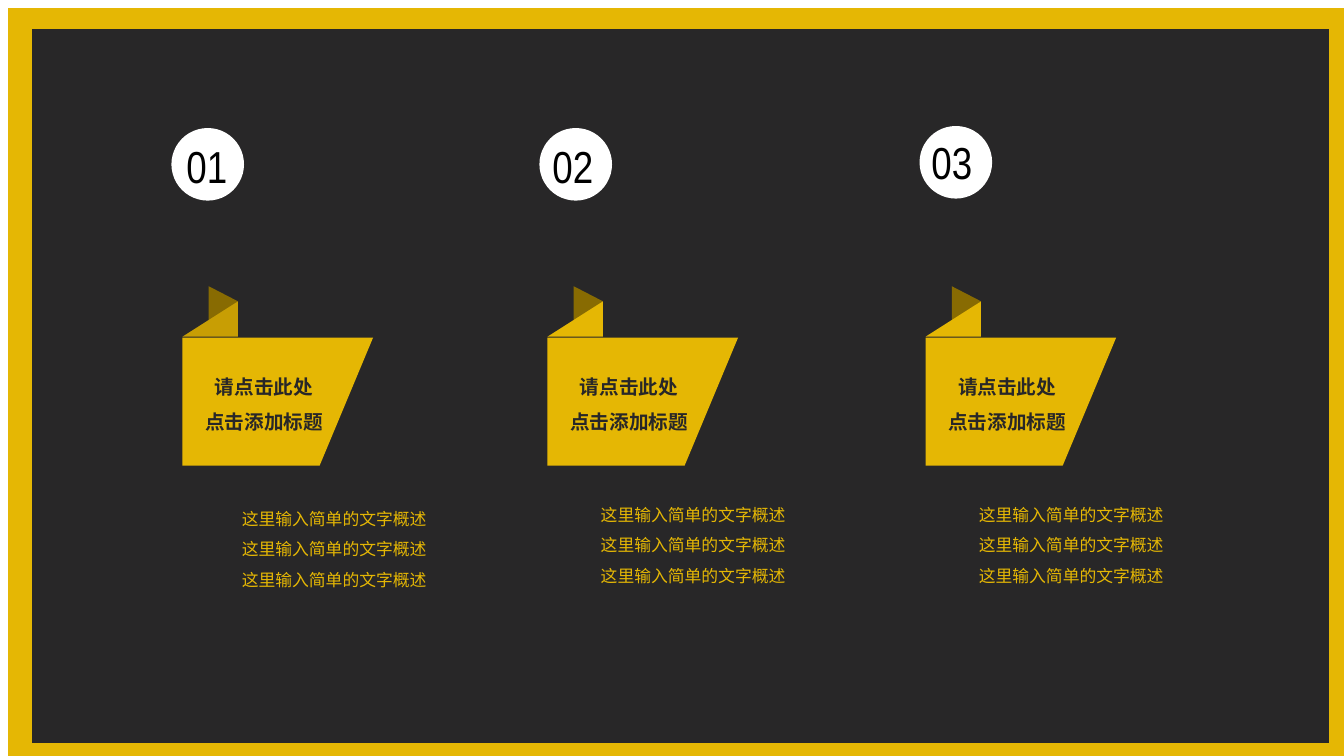
from lxml.etree import SubElement
from pptx import Presentation
from pptx.dml.color import RGBColor
from pptx.enum.shapes import MSO_SHAPE
from pptx.enum.text import MSO_AUTO_SIZE, PP_ALIGN
from pptx.oxml.ns import qn
from pptx.util import Inches, Pt

COLORS = {
    "gold": "E5B704", "amber": "C89E04", "brown": "886B02",
    "dark": "282728", "white": "FFFFFF", "black": "000000",
}
SANS = "Noto Sans CJK SC"
STYLES = {
    "title": {"name": SANS, "size": Pt(14), "bold": True, "color": "dark"},
    "note": {"name": SANS, "size": Pt(12), "color": "gold"},
    "number": {"name": "Arial Narrow", "size": Pt(32), "color": "black"},
}
TITLE = ["请点击此处", "点击添加标题"]
NOTES = ["这里输入简单的文字概述"] * 3
# Boxes are left, top, width, height
COLUMNS = [
    {"left": 1.81, "fold": "amber", "disc": (1.7, 1.27), "number": "01",
     "label": (1.75, 1.33, 0.61, 0.64), "note": (2.22, 4.9, 2.11, 1.01)},
    {"left": 5.43, "fold": "gold", "disc": (5.35, 1.27), "number": "02",
     "label": (5.38, 1.33, 0.67, 0.64), "note": (5.78, 4.86, 2.11, 1.01)},
    {"left": 9.18, "fold": "gold", "disc": (9.12, 1.25), "number": "03",
     "label": (9.14, 1.29, 0.68, 0.64), "note": (9.53, 4.86, 2.11, 1.01)},
]


def rgb(name):
    return RGBColor.from_string(COLORS[name])


def paint(shape, color):
    shape.shadow.inherit = False
    shape.fill.solid()
    shape.fill.fore_color.rgb = rgb(color)
    shape.line.fill.background()


def add_solid(slide, kind, box, color):
    shape = slide.shapes.add_shape(kind, *map(Inches, box))
    paint(shape, color)
    return shape


def add_outline(slide, points, color):
    first, *rest = [(Inches(x), Inches(y)) for x, y in points]
    pen = slide.shapes.build_freeform(*first)
    pen.add_line_segments(rest)
    paint(pen.convert_to_shape(), color)


def style_run(run, style):
    for key, value in style.items():
        if key == "color":
            run.font.color.rgb = rgb(value)
        else:
            setattr(run.font, key, value)
    # East Asian glyphs take their own typeface entry
    SubElement(run.font._element, qn("a:ea"), typeface=style["name"])


def add_text(slide, box, lines, style, align=PP_ALIGN.LEFT, spacing=1.0, wrap=True):
    frame = slide.shapes.add_textbox(*map(Inches, box)).text_frame
    frame.word_wrap = wrap
    frame.auto_size = MSO_AUTO_SIZE.SHAPE_TO_FIT_TEXT
    for i, line in enumerate(lines):
        para = frame.add_paragraph() if i else frame.paragraphs[0]
        para.alignment = align
        para.line_spacing = spacing
        run = para.add_run()
        run.text = line
        style_run(run, STYLES[style])


def add_frame(slide):
    add_solid(slide, MSO_SHAPE.RECTANGLE, (0.08, 0.08, 13.33, 7.5), "gold")
    add_solid(slide, MSO_SHAPE.RECTANGLE, (0.32, 0.29, 12.86, 7.08), "dark")


def add_ribbon(slide, left, top, fold):
    """Draw the folded banner; left and top are the corner of its main panel."""
    def place(*points):
        return [(left + x, top + y) for x, y in points]

    add_outline(slide, place((0.26, -0.15), (0.55, -0.36), (0.26, -0.51)), "brown")
    flap = add_solid(slide, MSO_SHAPE.RIGHT_TRIANGLE,
                     (left, top - 0.36, 0.55, 0.35), fold)
    flap.element.spPr.get_or_add_xfrm().set("flipH", "1")
    add_outline(slide, place((0, 0), (1.89, 0), (1.36, 1.27), (0, 1.27)), "gold")
    add_text(slide, (left, top + 0.2, 1.62, 0.81), TITLE, "title",
             PP_ALIGN.CENTER, 1.5)


def add_column(slide, column):
    add_ribbon(slide, column["left"], 3.35, column["fold"])
    add_text(slide, column["note"], NOTES, "note", PP_ALIGN.RIGHT, 1.5)
    add_solid(slide, MSO_SHAPE.OVAL, (*column["disc"], 0.72, 0.72), "white")
    add_text(slide, column["label"], [column["number"]], "number", wrap=False)


def main():
    deck = Presentation()
    deck.slide_width, deck.slide_height = Inches(13.33), Inches(7.5)
    slide = deck.slides.add_slide(deck.slide_layouts[6])
    add_frame(slide)
    for column in COLUMNS:
        add_column(slide, column)
    deck.save("out.pptx")


if __name__ == "__main__":
    main()
